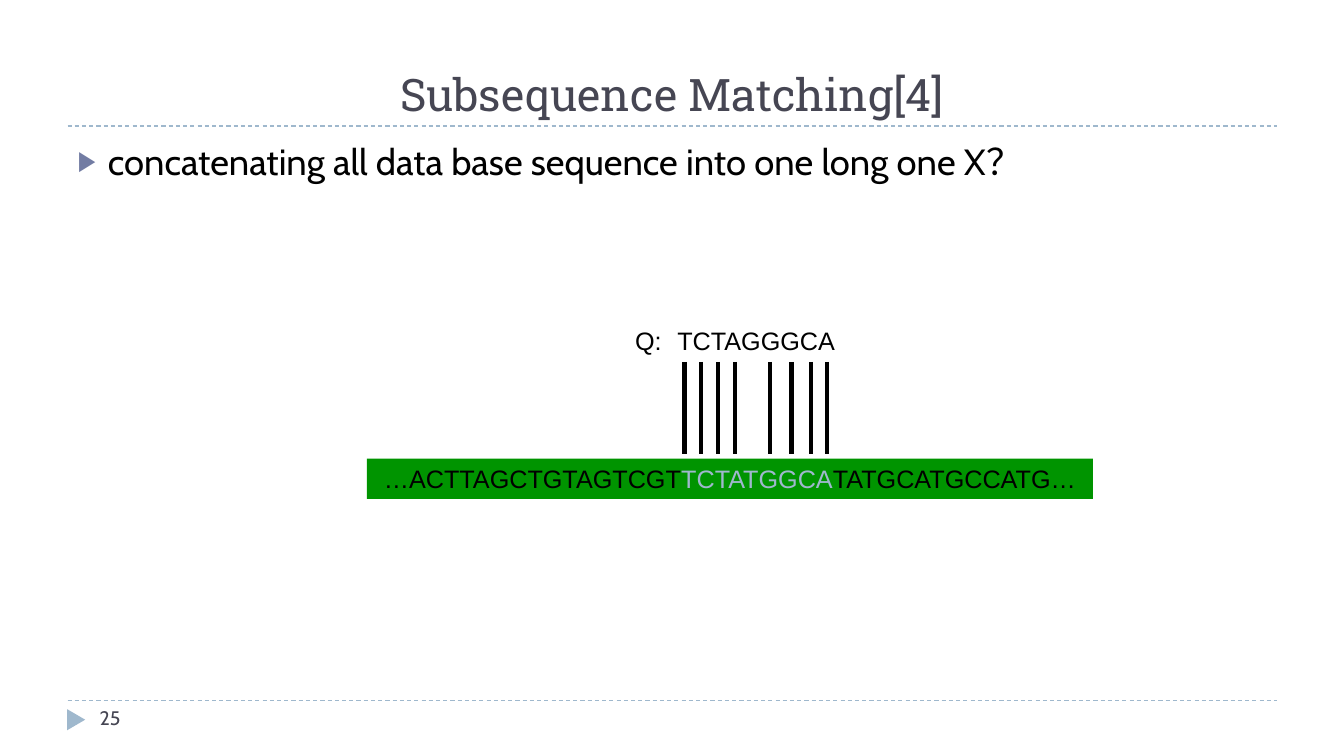
"""Builds the slide on subsequence matching."""
from lxml.etree import SubElement
from pptx import Presentation
from pptx.dml.color import RGBColor
from pptx.enum.dml import MSO_LINE_DASH_STYLE as Dash
from pptx.enum.shapes import MSO_CONNECTOR as Connector, MSO_SHAPE as Preset
from pptx.enum.text import MSO_ANCHOR as Anchor, MSO_AUTO_SIZE as Fit, PP_ALIGN as Align
from pptx.oxml.ns import qn
from pptx.util import Inches, Pt

COLORS = {"ink": "000000", "title": "464653", "accent": "9FB8CD",
          "bullet": "727CA3", "sequence": "009400"}
BAR_POSITIONS = [6.79, 6.95, 7.12, 7.29, 7.64, 7.85, 8.04, 8.2]


def color(name):
    return RGBColor.from_string(COLORS[name])


def add_span(para, text, size=18, font="Arial", ink="ink"):
    span = para.add_run()
    span.text = text
    span.font.size = Pt(size)
    span.font.name = font
    span.font.color.rgb = color(ink)


class SlideBuilder:
    def __init__(self, deck):
        self.page = deck.slides.add_slide(deck.slide_layouts[1])
        self.shapes = self.page.shapes

    def place(self, box, left, top, width, height):
        box.left, box.top = Inches(left), Inches(top)
        box.width, box.height = Inches(width), Inches(height)

    def title(self, text, *area):
        box = self.shapes.title
        self.place(box, *area)
        frame = box.text_frame
        frame.auto_size = Fit.NONE
        frame.vertical_anchor = Anchor.BOTTOM
        para = frame.paragraphs[0]
        para.alignment = Align.CENTER
        add_span(para, text, size=32, font="Roboto Slab", ink="title")

    def bullets(self, items, *area):
        box = self.page.placeholders[1]
        self.place(box, *area)
        frame = box.text_frame
        frame.auto_size = Fit.NONE
        for number, item in enumerate(items):
            para = frame.add_paragraph() if number else frame.paragraphs[0]
            para.space_before = Pt(6)
            add_span(para, item, size=26, font="Cabin")
            props = para._p.get_or_add_pPr()
            props.set("marL", str(Inches(0.3)))
            props.set("indent", str(Inches(-0.3)))
            tint = SubElement(props, qn("a:buClr"))
            SubElement(tint, qn("a:srgbClr"), val=COLORS["bullet"])
            SubElement(props, qn("a:buSzPct"), val="76000")
            SubElement(props, qn("a:buFont"), typeface="Arial")
            SubElement(props, qn("a:buChar"), char="▶")

    def text(self, text, *area, **style):
        box = self.shapes.add_textbox(*map(Inches, area))
        box.text_frame.word_wrap = True
        add_span(box.text_frame.paragraphs[0], text, **style)

    def shape(self, preset, fill, *area):
        box = self.shapes.add_shape(preset, *map(Inches, area))
        box.shadow.inherit = False
        box.fill.solid()
        box.fill.fore_color.rgb = color(fill)
        box.line.fill.background()
        return box

    def sequence(self, parts, *area):
        box = self.shape(Preset.RECTANGLE, "sequence", *area)
        box.text_frame.word_wrap = True
        para = box.text_frame.paragraphs[0]
        para.alignment = Align.CENTER
        for text, ink in parts:
            add_span(para, text, ink=ink)

    def line(self, *ends, ink="ink", width=3, dash=None):
        line = self.shapes.add_connector(Connector.STRAIGHT, *map(Inches, ends))
        line.line.color.rgb = color(ink)
        line.line.width = Pt(width)
        if dash:
            line.line.dash_style = dash
        SubElement(line._element.spPr, qn("a:effectLst"))


def main():
    deck = Presentation()
    deck.slide_width, deck.slide_height = Inches(13.33), Inches(7.5)
    slide = SlideBuilder(deck)
    for height in (6.95, 1.25):
        slide.line(0.67, height, 12.67, height, ink="accent", width=0.75, dash=Dash.DASH)
    marker = slide.shape(Preset.ISOSCELES_TRIANGLE, "accent", 0.65, 7.05, 0.21, 0.18)
    marker.rotation = 90
    slide.title("Subsequence Matching[4]", 0.67, 0.17, 12, 1.08)
    slide.bullets(["concatenating all data base sequence into one long one X？"],
                  0.67, 1.33, 12, 5.4)
    slide.sequence([("…ACTTAGCTGTAGTCGT", "ink"), ("TCTATGGCA", "accent"),
                    ("TATGCATGCCATG…", "ink")], 3.64, 4.55, 7.2, 0.4)
    slide.text("Q:", 6.2, 3.18, 0.67, 0.4)
    slide.text("TCTAGGGCA", 6.62, 3.18, 2.33, 0.4)
    for position in BAR_POSITIONS:
        slide.line(position, 3.59, position, 4.5)
    slide.text("25", 0.89, 6.95, 2.89, 0.4, size=14, font="Cabin", ink="title")
    deck.save("out.pptx")


if __name__ == "__main__":
    main()
